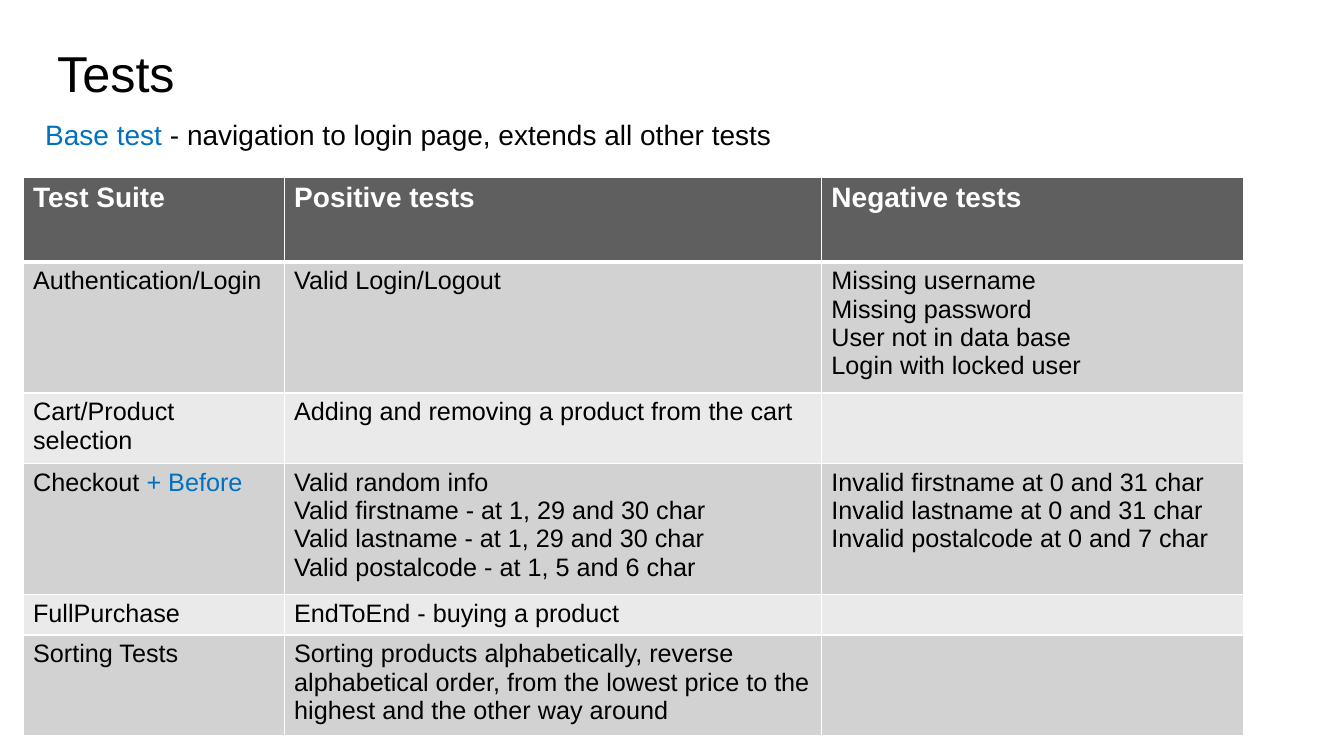
from lxml import etree
from pptx import Presentation
from pptx import util as u
from pptx.dml.color import RGBColor
from pptx.enum import text
from pptx.oxml.ns import qn

COLORS = {
    "black": "000000",
    "white": "FFFFFF",
    "blue": "0070C0",
    "header": "5F5F5F",
    "odd": "D2D2D2",
    "even": "EAEAEA",
}


def write_text(frame, lines, size=18, color="black", bold=False):
    frame.word_wrap = True
    for index, line in enumerate(lines):
        paragraph = frame.paragraphs[0] if index == 0 else frame.add_paragraph()
        runs = [(line, color)] if isinstance(line, str) else line
        for words, run_color in runs:
            run = paragraph.add_run()
            run.text = words
            run.font.name = "Arial"
            run.font.size = u.Pt(size)
            run.font.bold = bold
            run.font.color.rgb = RGBColor.from_string(COLORS[run_color])


def set_borders(cell, widths):
    properties = cell._tc.get_or_add_tcPr()
    for index, (side, width) in enumerate(widths.items()):
        line = etree.Element(qn(f"a:ln{side}"), w=str(u.Pt(width)))
        fill = etree.SubElement(line, qn("a:solidFill"))
        etree.SubElement(fill, qn("a:srgbClr"), val=COLORS["white"])
        properties.insert(index, line)


presentation = Presentation()
presentation.slide_width = u.Cm(33.87)
presentation.slide_height = u.Cm(19.05)
slide = presentation.slides.add_slide(presentation.slide_layouts[6])

title = slide.shapes.add_textbox(u.Cm(1.19), u.Cm(0.25), u.Cm(27.94), u.Cm(3.15))
title.text_frame.vertical_anchor = text.MSO_ANCHOR.MIDDLE
write_text(title.text_frame, ["Tests"], size=36)

test_rows = [
    (["Test Suite"], ["Positive tests"], ["Negative tests"]),
    (
        ["Authentication/Login"],
        ["Valid Login/Logout"],
        ["Missing username", "Missing password", "User not in data base", "Login with locked user"],
    ),
    (["Cart/Product selection"], ["Adding and removing a product from the cart"], []),
    (
        [[("Checkout ", "black"), ("+ Before", "blue")]],
        [
            "Valid random info",
            "Valid firstname - at 1, 29 and 30 char",
            "Valid lastname - at 1, 29 and 30 char",
            "Valid postalcode - at 1, 5 and 6 char",
        ],
        [
            "Invalid firstname at 0 and 31 char",
            "Invalid lastname at 0 and 31 char",
            "Invalid postalcode at 0 and 7 char",
        ],
    ),
    (["FullPurchase"], ["EndToEnd - buying a product"], []),
    (
        ["Sorting Tests"],
        [
            "Sorting products alphabetically, reverse alphabetical order, "
            "from the lowest price to the highest and the other way around"
        ],
        [],
    ),
]
column_widths = [6.58, 13.54, 10.64]
row_heights = [2.13, 3.2, 1.7, 3.3, 0.97, 2.13]

table = slide.shapes.add_table(
    len(row_heights), len(column_widths),
    u.Cm(0.58), u.Cm(4.47), u.Cm(sum(column_widths)), u.Cm(sum(row_heights)),
).table
for column, width in zip(table.columns, column_widths):
    column.width = u.Cm(width)
for row, height in zip(table.rows, row_heights):
    row.height = u.Cm(height)

for row_index, test_row in enumerate(test_rows):
    is_header = row_index == 0
    shade = "header" if is_header else ("even", "odd")[row_index % 2]
    for column_index, lines in enumerate(test_row):
        cell = table.cell(row_index, column_index)
        cell.fill.solid()
        cell.fill.fore_color.rgb = RGBColor.from_string(COLORS[shade])
        top = 3 if row_index == 1 else 1
        bottom = 3 if is_header else 1
        set_borders(cell, {"L": 1, "R": 1, "T": top, "B": bottom})
        if is_header:
            write_text(cell.text_frame, lines, size=20, color="white", bold=True)
        else:
            write_text(cell.text_frame, lines)

base_test = slide.shapes.add_textbox(u.Cm(0.89), u.Cm(2.84), u.Cm(26.97), u.Cm(1.14))
base_line = [("Base test", "blue"), (" - navigation to login page, extends all other tests", "black")]
write_text(base_test.text_frame, [base_line], size=20)

presentation.save("out.pptx")
